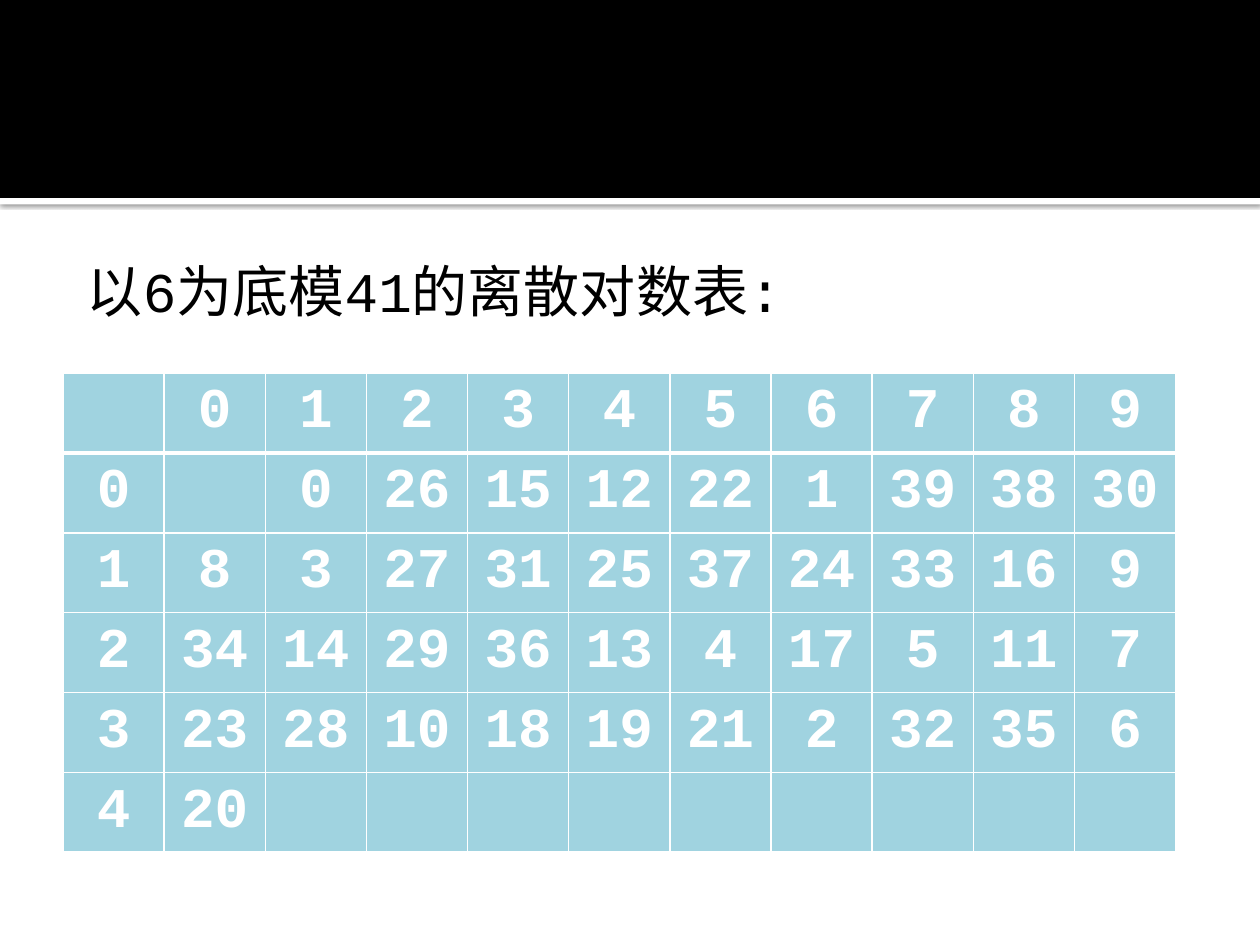
"""Build a slide with a table of discrete logarithms."""
from lxml import etree
from pptx import Presentation
from pptx.dml.color import RGBColor
from pptx.enum import lang, shapes, text
from pptx.oxml import ns
from pptx.util import Cm, Pt

BLACK = RGBColor(0x00, 0x00, 0x00)
WHITE = RGBColor(0xFF, 0xFF, 0xFF)
AQUA = RGBColor(0xA0, 0xD3, 0xE0)
FONT = "Courier New"
WIDE, HIGH = 25.4, 19.05
BAND = 3.99
ROWS = [
    ["", *range(10)],
    [0, "", 0, 26, 15, 12, 22, 1, 39, 38, 30],
    [1, 8, 3, 27, 31, 25, 37, 24, 33, 16, 9],
    [2, 34, 14, 29, 36, 13, 4, 17, 5, 11, 7],
    [3, 23, 28, 10, 18, 19, 21, 2, 32, 35, 6],
    [4, 20] + [""] * 9,
]


def add_node(node, tag, **attrs):
    """Append one drawing element and return it."""
    return etree.SubElement(node, ns.qn(tag), {k: str(v) for k, v in attrs.items()})


def add_color(node, color):
    """Append a color element and return it."""
    return add_node(node, "a:srgbClr", val=color)


def add_bar(slide, top, height, color):
    """Add a plain bar across the slide."""
    bar = slide.shapes.add_shape(
        shapes.MSO_SHAPE.RECTANGLE, 0, Cm(top), Cm(WIDE), Cm(height))
    bar.shadow.inherit = False
    bar.fill.solid()
    bar.fill.fore_color.rgb = color
    bar.line.fill.background()
    return bar


def add_shade(bar):
    """Give a bar a soft shadow below it."""
    effects = bar.element.spPr.find(ns.qn("a:effectLst"))
    shade = add_node(effects, "a:outerShdw", blurRad=Pt(2.5), dist=Pt(0.8),
                     dir=5400000, algn="tl", rotWithShape=0)
    add_node(add_color(shade, BLACK), "a:alpha", val=60000)


def style_font(font, color, bold=False):
    """Set the common type style."""
    font.name = FONT
    font.size = Pt(32)
    font.bold = bold
    font.color.rgb = color


def add_label(slide, words):
    """Add the line of text above the table."""
    box = slide.shapes.add_textbox(Cm(1.27), Cm(4.93), Cm(22.86), Cm(12.85))
    frame = box.text_frame
    frame.word_wrap = True
    frame.margin_left, frame.margin_top = Cm(0.48), Cm(0.25)
    frame.text = words
    font = frame.paragraphs[0].runs[0].font
    style_font(font, BLACK)
    font.language_id = lang.MSO_LANGUAGE_ID.SIMPLIFIED_CHINESE


def add_edge(cell, side, width):
    """Add a white border on one side of a cell."""
    line = add_node(cell._tc.get_or_add_tcPr(), "a:ln" + side, w=Pt(width))
    add_color(add_node(line, "a:solidFill"), WHITE)


def fill_cell(cell, value, row):
    """Write and style one cell."""
    widths = {"L": 1, "R": 1, "T": 3 if row == 1 else 1, "B": 3 if row == 0 else 1}
    for side, width in widths.items():
        add_edge(cell, side, width)
    cell.fill.solid()
    cell.fill.fore_color.rgb = AQUA
    cell.vertical_anchor = text.MSO_ANCHOR.MIDDLE
    cell.text_frame.text = str(value)
    para = cell.text_frame.paragraphs[0]
    para.alignment = text.PP_ALIGN.CENTER
    for run in para.runs:
        style_font(run.font, WHITE, True)


def add_grid(slide, rows):
    """Add the table of values."""
    grid = slide.shapes.add_table(len(rows), len(rows[0]), Cm(1.27), Cm(7.52),
                                  Cm(22.43), Cm(8)).table
    for row, values in enumerate(rows):
        for col, value in enumerate(values):
            fill_cell(grid.cell(row, col), value, row)


def main():
    """Build and save the slide."""
    deck = Presentation()
    deck.slide_width, deck.slide_height = Cm(WIDE), Cm(HIGH)
    slide = deck.slides.add_slide(deck.slide_layouts[6])
    add_shade(add_bar(slide, BAND, 0.13, WHITE))
    add_bar(slide, 0, BAND, BLACK)
    add_label(slide, "以6为底模41的离散对数表:")
    add_grid(slide, ROWS)
    deck.save("out.pptx")


main()
